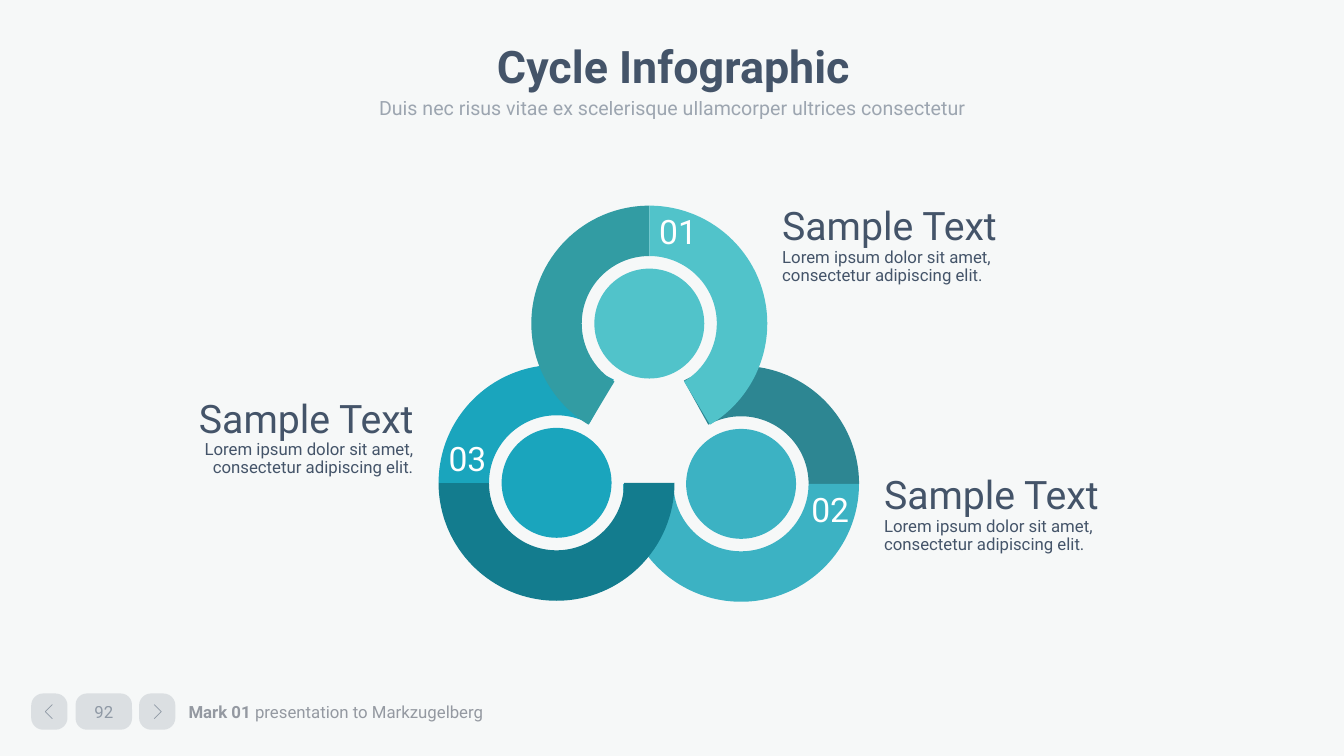
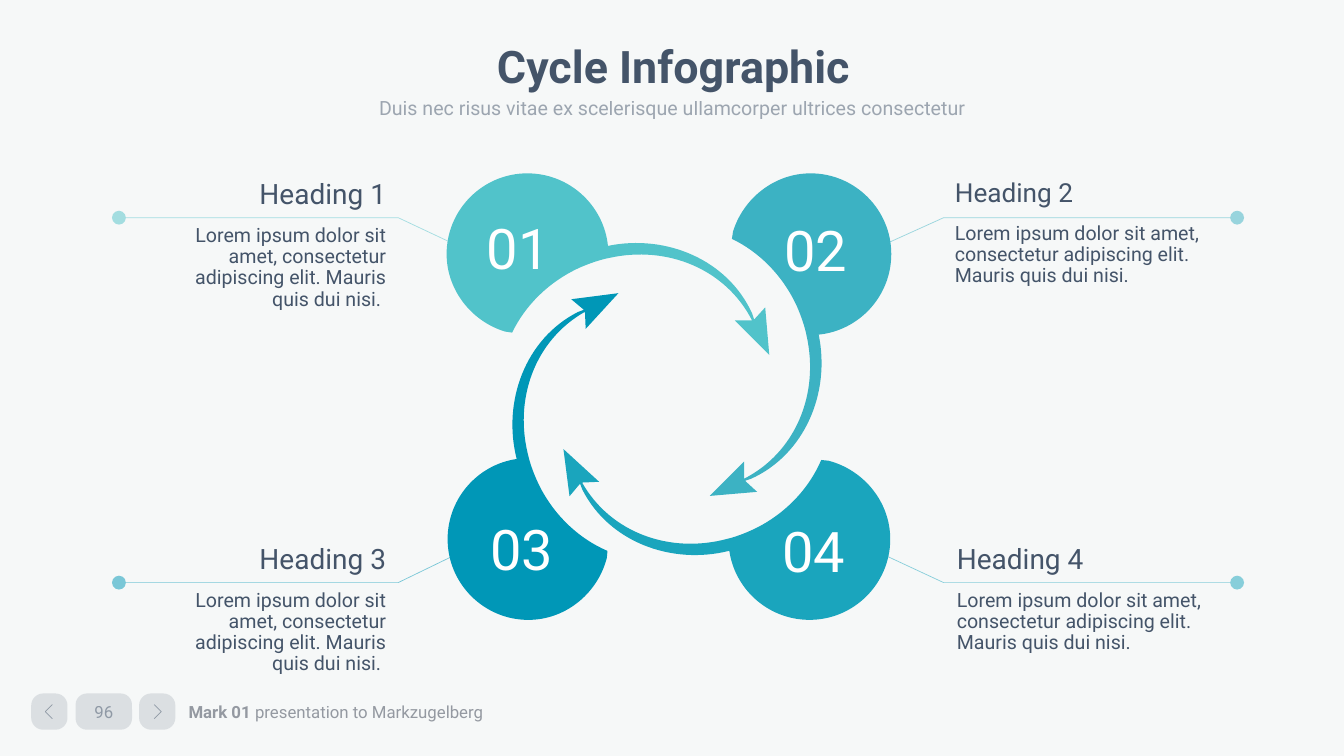
from dataclasses import dataclass
from math import cos, radians, sin, tan

from lxml.etree import SubElement
from pptx import Presentation
from pptx.dml.color import RGBColor
from pptx.enum.shapes import MSO_SHAPE
from pptx.enum.text import MSO_ANCHOR as ANCHOR, PP_ALIGN as ALIGN
from pptx.oxml.ns import qn
from pptx.util import Inches, Pt


@dataclass(frozen=True)
class Theme:
    font: str = "Roboto"
    background: str = "F6F8F8"
    ink: str = "445469"
    footer: str = "9499A1"
    white: str = "FFFFFF"
    aqua: str = "51C3CA"
    aqua_dark: str = "329CA3"
    teal: str = "3CB2C3"
    teal_dark: str = "2D8692"
    cyan: str = "1AA5BD"
    cyan_dark: str = "137C8E"
    blue: str = "0097B7"
    title_size: float = 32
    subtitle_size: float = 14
    footer_size: float = 12
    sample_size: float = 28
    sample_body_size: float = 12
    heading_size: float = 20
    small_heading_size: float = 18.7
    body_size: float = 14
    ring_number_size: float = 24
    arrow_number_size: float = 40


T = Theme()
INSETS = (0.1, 0.05, 0.1, 0.05)
FOOTER_INSETS = (0.13, 0.07, 0.13, 0.07)
HEADING_INSETS = (0.13, 0.05, 0.13, 0.05)

RING_OUTER, RING_INNER, DISC = 1.17, 0.67, 1.09

# Arrow outline around the centre of its round head: one point is a line, three a cubic curve.
ARROW_TIP = (2.4, 1)
ARROW_STEPS = [
    [(2.36, 0.53)], [(2.25, 0.65)], [(2.23, 0.59)],
    [(1.99, 0.06), (1.38, -0.2), (0.8, -0.08)],
    [(0.76, -0.48), (0.42, -0.8), (0, -0.8)],
    [(-0.44, -0.8), (-0.8, -0.44), (-0.8, 0)],
    [(-0.8, 0.36), (-0.55, 0.67), (-0.22, 0.77)],
    [(-0.15, 0.78)],
    [(-0.02, 0.51), (0.21, 0.28), (0.51, 0.14)],
    [(0.69, 0.06), (0.81, 0.04), (0.81, 0.04)],
    [(1.39, -0.09), (1.97, 0.15), (2.23, 0.66)],
    [(2.06, 0.66)],
]


def apply(obj, values):
    for name, value in values.items():
        setattr(obj, name, value)


def rgb(color):
    return RGBColor.from_string(color)


def fade(element, percent):
    """Make every colour inside an XML element partly transparent."""
    for clr in element.iter(qn("a:srgbClr")):
        SubElement(clr, qn("a:alpha")).set("val", str(percent * 1000))


def paint(sp, color, alpha=None):
    sp.shadow.inherit = False
    sp.fill.solid()
    sp.fill.fore_color.rgb = rgb(color)
    sp.line.fill.background()
    if alpha:
        fade(sp._element.spPr, alpha)
    return sp


def setup_frame(sp, insets=INSETS, anchor=ANCHOR.TOP):
    left, top, right, bottom = map(Inches, insets)
    apply(sp.text_frame, dict(
        word_wrap=True, vertical_anchor=anchor, margin_left=left,
        margin_top=top, margin_right=right, margin_bottom=bottom))
    return sp.text_frame


def add_run(p, text, size, color=T.ink, bold=False, alpha=None):
    r = p.add_run()
    r.text = text
    apply(r.font, dict(name=T.font, size=Pt(size), bold=bold))
    r.font.color.rgb = rgb(color)
    if alpha:
        fade(r._r, alpha)


def write_line(tf, text, size, align=ALIGN.LEFT, spacing=1.0, before=0, **style):
    """Write into the empty first paragraph, or else into a new one."""
    first = tf.paragraphs[0]
    p = tf.add_paragraph() if first.runs else first
    apply(p, dict(alignment=align, line_spacing=spacing, space_before=Pt(before)))
    add_run(p, text, size, **style)


def add_text_box(slide, box, **frame):
    return setup_frame(slide.shapes.add_textbox(*map(Inches, box)), **frame)


def add_path(slide, start, steps, close):
    """Draw an outline whose steps hold one point (line) or three (cubic curve)."""
    builder = slide.shapes.build_freeform(*map(Inches, start))
    points = [(Inches(x), Inches(y)) for step in steps for x, y in step]
    builder.add_line_segments(points, close=close)
    sp = builder.convert_to_shape()
    segments = iter(list(sp._element.iter(qn("a:lnTo"))))
    for step in steps:
        first, *others = [next(segments) for _ in step]
        if others:
            first.tag = qn("a:cubicBezTo")
        for other in others:
            first.append(other[0])
            other.getparent().remove(other)
    return sp


def add_polyline(slide, points, color):
    start, *rest = points
    sp = add_path(slide, start, [[point] for point in rest], close=False)
    sp.shadow.inherit = False
    sp.fill.background()
    sp.line.width = Pt(0.5)
    sp.line.color.rgb = rgb(color)
    fade(sp._element.spPr, 50)
    return sp


def add_lead_line(slide, points, color):
    """Add a bent thin line that ends in a dot."""
    ln = add_polyline(slide, points, color)._element.spPr.find(qn("a:ln"))
    tail = SubElement(ln, qn("a:tailEnd"))
    for name, value in dict(type="oval", w="lg", len="lg").items():
        tail.set(name, value)


def add_button(slide, left, width, adj):
    box = map(Inches, (left, 6.88, width, 0.36))
    sp = slide.shapes.add_shape(MSO_SHAPE.ROUNDED_RECTANGLE, *box)
    sp.adjustments[0] = adj
    return paint(sp, T.ink, 15)


def add_chevron(slide, tip, back):
    add_polyline(slide, [(back, 6.99), (tip, 7.06), (back, 7.13)], T.ink)


def add_footer(slide, number):
    tf = add_text_box(slide, (1.74, 6.89, 3.67, 0.34),
                      insets=FOOTER_INSETS, anchor=ANCHOR.MIDDLE)
    write_line(tf, "Mark 01 ", T.footer_size, color=T.footer, bold=True)
    add_run(tf.paragraphs[0], "presentation to Markzugelberg", T.footer_size, T.footer)
    for left, tip, back in ((0.31, 0.45, 0.52), (1.38, 1.6, 1.53)):
        add_button(slide, left, 0.36, 0.33)
        add_chevron(slide, tip, back)
    page = add_button(slide, 0.75, 0.56, 0.31)
    tf = setup_frame(page, anchor=ANCHOR.MIDDLE)
    write_line(tf, str(number), T.footer_size, ALIGN.CENTER, alpha=50)


def add_base_slide(prs, number):
    """Add a slide with the shared background, title, subtitle and footer."""
    slide = prs.slides.add_slide(prs.slide_layouts[6])
    slide.background.fill.solid()
    slide.background.fill.fore_color.rgb = rgb(T.background)
    add_footer(slide, number)
    tf = add_text_box(slide, (0.93, 0.4, 11.5, 0.56))
    write_line(tf, "Cycle Infographic", T.title_size, ALIGN.CENTER, 0.9, bold=True)
    tf = add_text_box(slide, (1.95, 0.86, 9.44, 0.42))
    write_line(tf, "Duis nec risus vitae ex scelerisque ullamcorper ultrices consectetur",
               T.subtitle_size, ALIGN.CENTER, 1.2, alpha=50)
    return slide


def arc_curve(center, radius, start, end):
    """Return the cubic curve of an arc; angles run clockwise from the right."""
    cx, cy = center
    a, b = radians(start), radians(end)
    k = 4 / 3 * tan((b - a) / 4)
    points = [(cos(a) - k * sin(a), sin(a) + k * cos(a)),
              (cos(b) + k * sin(b), sin(b) - k * cos(b)), (cos(b), sin(b))]
    return [(cx + radius * x, cy + radius * y) for x, y in points]


def add_ring_part(slide, center, start, end, color):
    stops = [start, *(a for a in range(0, 540, 90) if start < a < end), end]
    back = stops[::-1]
    outer = [arc_curve(center, RING_OUTER, a, b) for a, b in zip(stops, stops[1:])]
    inner = [arc_curve(center, RING_INNER, a, b) for a, b in zip(back, back[1:])]
    first = arc_curve(center, RING_OUTER, start, start)[-1]
    turn = arc_curve(center, RING_INNER, end, end)[-1]
    return paint(add_path(slide, first, [*outer, [turn], *inner], close=True), color)


def add_disc(slide, center, color):
    cx, cy = center
    box = map(Inches, (cx - DISC / 2, cy - DISC / 2, DISC, DISC))
    paint(slide.shapes.add_shape(MSO_SHAPE.OVAL, *box), color)


def add_ring(slide, label, center, light, dark, anchor, align):
    """Add a ring; light and dark are (start angle, end angle, colour)."""
    add_ring_part(slide, center, *dark)
    tf = setup_frame(add_ring_part(slide, center, *light), anchor=anchor)
    write_line(tf, label, T.ring_number_size, align, color=T.white)
    add_disc(slide, center, light[2])


def add_sample_text(slide, left, top, align):
    tf = add_text_box(slide, (left, top, 2.73, 0.94))
    write_line(tf, "Sample Text", T.sample_size, align)
    write_line(tf, "Lorem ipsum dolor sit amet, consectetur adipiscing elit.",
               T.sample_body_size, align, 0.9)


def build_ring_slide(prs):
    slide = add_base_slide(prs, 92)
    rings = [
        ("02", (7.35, 4.8), (0, 180, T.teal), (241, 360, T.teal_dark), ANCHOR.TOP, ALIGN.RIGHT),
        ("03", (5.52, 4.79), (180, 299, T.cyan), (0, 180, T.cyan_dark), ANCHOR.BOTTOM, ALIGN.LEFT),
        ("01", (6.44, 3.21), (270, 419, T.aqua), (121, 270, T.aqua_dark), ANCHOR.TOP, ALIGN.LEFT),
    ]
    for ring in rings:
        add_ring(slide, *ring)
    for left, top, align in ((7.66, 1.95, ALIGN.LEFT), (8.67, 4.62, ALIGN.LEFT),
                             (1.47, 3.86, ALIGN.RIGHT)):
        add_sample_text(slide, left, top, align)


def add_arrow(slide, label, color, center, turn, insets, anchor, align):
    """Add a numbered arrow, turned clockwise around its round head."""
    (cx, cy), c, s = center, cos(radians(turn)), sin(radians(turn))
    start, *steps = [[(cx + x * c - y * s, cy + x * s + y * c) for x, y in step]
                     for step in ([ARROW_TIP], *ARROW_STEPS)]
    sp = paint(add_path(slide, start[0], steps, close=True), color)
    tf = setup_frame(sp, insets, anchor)
    write_line(tf, label, T.arrow_number_size, align, color=T.white)


def add_heading_text(slide, heading, size, box, align, ending=""):
    tf = add_text_box(slide, box, insets=HEADING_INSETS)
    write_line(tf, heading, size, align, 0.9)
    body = "Lorem ipsum dolor sit amet, consectetur adipiscing elit. Mauris quis dui nisi."
    write_line(tf, body + ending, T.body_size, align, 0.9, 10.7)


def build_arrow_slide(prs):
    slide = add_base_slide(prs, 96)
    mid, low = ANCHOR.MIDDLE, ANCHOR.BOTTOM
    arrows = [
        ("01", T.aqua, (5.23, 2.52), 0, (0.4, 0.05, 0.1, 0.38), mid, ALIGN.LEFT),
        ("02", T.teal, (8.04, 2.52), 90, (0.4, 0, 0.1, 1.7), mid, ALIGN.CENTER),
        ("04", T.cyan, (8.03, 5.35), 177.5, (1.8, 0.3, 0.1, 0), mid, ALIGN.CENTER),
        ("03", T.blue, (5.24, 5.35), 267.5, (0.1, 0.05, 0.3, 0.4), low, ALIGN.CENTER),
    ]
    for arrow in arrows:
        add_arrow(slide, *arrow)

    left_xs, right_xs = (4.65, 3.95, 1.18), (8.63, 9.36, 12.27)
    top_ys, bottom_ys = (2.49, 2.16, 2.16), (5.44, 5.78, 5.78)
    for xs, ys, color in ((left_xs, top_ys, T.aqua), (right_xs, top_ys, T.teal),
                          (right_xs, bottom_ys, T.cyan), (left_xs, bottom_ys, T.blue)):
        add_lead_line(slide, list(zip(xs, ys)), color)

    for heading, top in (("Heading 1", 1.74), ("Heading 3", 5.36)):
        add_heading_text(slide, heading, T.heading_size, (1.47, top, 2.49, 1.41),
                         ALIGN.RIGHT, ending=" ")
    for heading, size, left, top in (("Heading 2", T.small_heading_size, 9.34, 1.74),
                                     ("Heading 4", T.heading_size, 9.36, 5.36)):
        add_heading_text(slide, heading, size, (left, top, 2.75, 1.18), ALIGN.LEFT)


def main():
    prs = Presentation()
    apply(prs, dict(slide_width=Inches(13.33), slide_height=Inches(7.5)))
    build_ring_slide(prs)
    build_arrow_slide(prs)
    prs.save("out.pptx")


if __name__ == "__main__":
    main()
